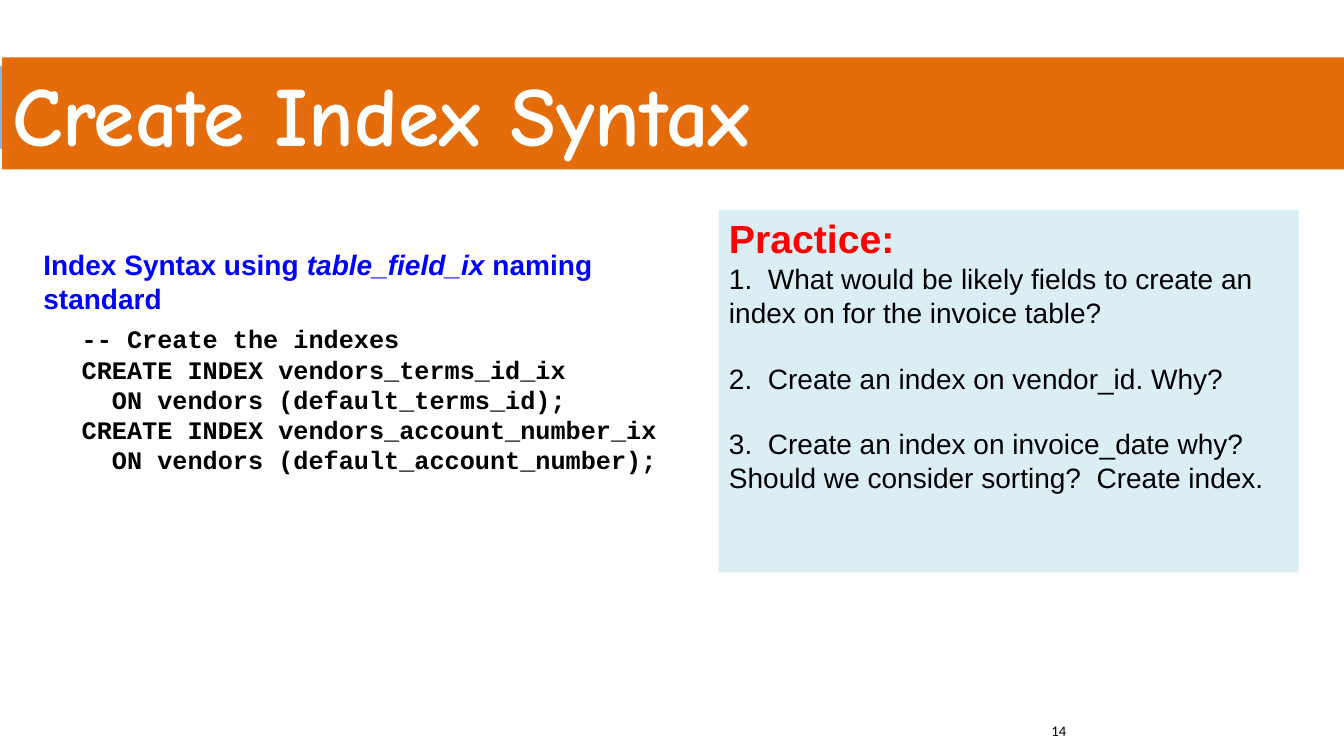
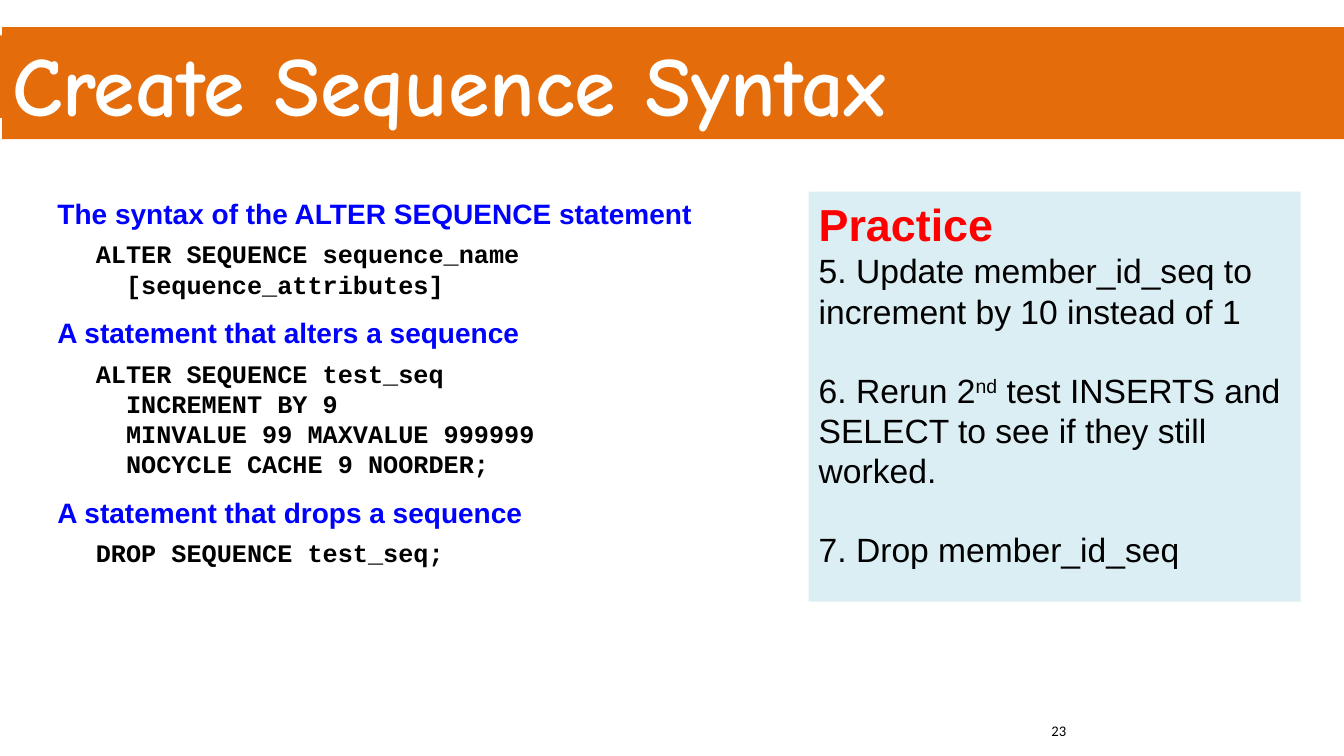
from dataclasses import dataclass
from enum import Enum
from typing import NamedTuple

from lxml.etree import SubElement
from pptx import Presentation
from pptx.dml.color import RGBColor
from pptx.enum.shapes import MSO_SHAPE
from pptx.enum.text import MSO_ANCHOR, MSO_AUTO_SIZE, PP_ALIGN
from pptx.oxml import parse_xml
from pptx.oxml.ns import nsdecls, qn
from pptx.util import Inches, Pt


@dataclass(frozen=True)
class Theme:
    orange: RGBColor = RGBColor(0xE4, 0x6C, 0x0A)
    pale_blue: RGBColor = RGBColor(0xDB, 0xEE, 0xF4)
    white: RGBColor = RGBColor(0xFF, 0xFF, 0xFF)
    black: RGBColor = RGBColor(0, 0, 0)
    red: RGBColor = RGBColor(0xFF, 0, 0)
    blue: RGBColor = RGBColor(0, 0, 0xFF)
    edge_stops: tuple[str, ...] = ("566A83", "7A97BA", "90B3DC")
    title_font: str = "Comic Neue"
    text_font: str = "Arial"
    code_font: str = "Courier New"
    number_font: str = "Calibri"
    title_size: float = 60
    heading_size: float = 20
    code_size: float = 18
    number_size: float = 10.5
    line_height: float = 1.15


THEME = Theme()
TWO_CONTENT_LAYOUT = 3


class Box(NamedTuple):
    left: float
    top: float
    width: float
    height: float


class Span(NamedTuple):
    text: str
    italic: bool = False
    raised: bool = False


class Style(NamedTuple):
    font: str
    size: float
    color: RGBColor
    bold: bool = False
    indent: float = 0
    before: float = 0
    after: float = 0


class Line(NamedTuple):
    style: Style
    spans: tuple[Span, ...]


class Kind(Enum):
    HEADING = Style(THEME.text_font, THEME.heading_size, THEME.blue, True, 0, 12, 6)
    CODE = Style(THEME.code_font, THEME.code_size, THEME.black, True, 0.38)
    CONTINUED = Style(THEME.code_font, THEME.code_size, THEME.black, True, 0.68)


@dataclass(frozen=True)
class Practice:
    box: Box
    heading: str
    heading_size: float
    task_size: float
    tasks: list[tuple[Span, ...]]


@dataclass(frozen=True)
class Lesson:
    title: str
    number: str
    band_top: float
    gradient_edge: bool
    syntax_box: Box
    syntax: list[Line]
    practice: Practice


def line(kind: Kind, *parts: str | Span) -> Line:
    return Line(kind.value, spans(*parts))


def spans(*parts: str | Span) -> tuple[Span, ...]:
    return tuple(Span(part) if isinstance(part, str) else part for part in parts)


LESSONS = [
    Lesson(
        title="Create Index Syntax",
        number="14",
        band_top=0.57,
        gradient_edge=True,
        syntax_box=Box(0.33, 2.41, 6.67, 2.68),
        syntax=[
            line(Kind.HEADING, "Index Syntax using ",
                 Span("table_field_ix ", italic=True), "naming standard"),
            line(Kind.CODE, "-- Create the indexes"),
            line(Kind.CODE, "CREATE INDEX vendors_terms_id_ix"),
            line(Kind.CONTINUED, "ON vendors (default_terms_id);"),
            line(Kind.CODE, "CREATE INDEX vendors_account_number_ix"),
            line(Kind.CONTINUED, "ON vendors (default_account_number);"),
        ],
        practice=Practice(Box(7.13, 2.08, 5.75, 3.6), "Practice:", 28, 20, [
            spans("1.  What would be likely fields to create an index on "
                  "for the invoice table?"),
            spans("2.  Create an index on vendor_id. Why?"),
            spans("3.  Create an index on invoice_date why?  "
                  "Should we consider sorting?  Create index."),
        ]),
    ),
    Lesson(
        title="Create Sequence Syntax",
        number="23",
        band_top=0.27,
        gradient_edge=False,
        syntax_box=Box(0.47, 1.9, 6.67, 3.89),
        syntax=[
            line(Kind.HEADING, "The syntax of the ALTER SEQUENCE statement"),
            line(Kind.CODE, "ALTER SEQUENCE sequence_name"),
            line(Kind.CONTINUED, "[sequence_attributes]"),
            line(Kind.HEADING, "A statement that alters a sequence"),
            line(Kind.CODE, "ALTER SEQUENCE test_seq"),
            line(Kind.CONTINUED, "INCREMENT BY 9"),
            line(Kind.CONTINUED, "MINVALUE 99 MAXVALUE 999999"),
            line(Kind.CONTINUED, "NOCYCLE CACHE 9 NOORDER;"),
            line(Kind.HEADING, "A statement that drops a sequence"),
            line(Kind.CODE, "DROP SEQUENCE test_seq;"),
        ],
        practice=Practice(Box(8.02, 1.9, 4.88, 4.07), "Practice", 32, 24, [
            spans("5. Update member_id_seq to increment by 10 instead of 1"),
            spans("6. Rerun 2", Span("nd", raised=True),
                  " test INSERTS and SELECT to see if they still worked."),
            spans("7. Drop member_id_seq"),
        ]),
    ),
]


def place(shape, box: Box) -> None:
    shape.left, shape.top, shape.width, shape.height = map(Inches, box)


def fill_solid(shape, color: RGBColor) -> None:
    shape.fill.solid()
    shape.fill.fore_color.rgb = color


def style_run(run, style: Style) -> None:
    font = run.font
    font.name, font.size, font.bold = style.font, Pt(style.size), style.bold
    font.color.rgb = style.color


def prepare_frame(shape) -> None:
    frame = shape.text_frame
    frame.word_wrap = True
    frame.auto_size = MSO_AUTO_SIZE.NONE
    frame.vertical_anchor = MSO_ANCHOR.TOP


def write_lines(shape, lines: list[Line]) -> None:
    prepare_frame(shape)
    frame = shape.text_frame
    for index, (style, parts) in enumerate(lines):
        paragraph = frame.add_paragraph() if index else frame.paragraphs[0]
        paragraph.alignment = PP_ALIGN.LEFT
        paragraph.space_before = Pt(style.before if index else 0)
        paragraph.space_after = Pt(style.after)
        # Plain, unbulleted text at a fixed indent
        properties = paragraph._p.get_or_add_pPr()
        properties.set("marL", str(Inches(style.indent)))
        properties.set("indent", "0")
        SubElement(properties, qn("a:buNone"))
        for span in parts:
            run = paragraph.add_run()
            run.text = span.text
            style_run(run, style)
            if span.italic:
                run.font.italic = True
            if span.raised:
                run.font._element.set("baseline", "30000")


def practice_lines(practice: Practice) -> list[Line]:
    heading = Style(THEME.text_font, practice.heading_size, THEME.red, True)
    first = Style(THEME.text_font, practice.task_size, THEME.black)
    later = first._replace(before=practice.task_size * THEME.line_height)
    return [Line(heading, spans(practice.heading))] + [
        Line(later if index else first, task)
        for index, task in enumerate(practice.tasks)
    ]


def add_band_edge(slide, lesson: Lesson) -> None:
    """Bar that shows at the left edge of the title band."""
    edge = slide.shapes.add_shape(MSO_SHAPE.RECTANGLE, 0, 0, 0, 0)
    place(edge, Box(0, lesson.band_top + 0.08, 13.33, 0.82))
    edge.shadow.inherit = False
    fill_solid(edge, THEME.orange)
    edge.line.fill.background()
    if lesson.gradient_edge:
        stops = "".join(
            f'<a:gs pos="{index * 50000}"><a:srgbClr val="{color}"/></a:gs>'
            for index, color in enumerate(THEME.edge_stops)
        )
        gradient = parse_xml(
            f'<a:gradFill {nsdecls("a")}><a:gsLst>{stops}</a:gsLst>'
            '<a:path path="circle"><a:fillToRect l="100000" t="100000"/></a:path>'
            "</a:gradFill>"
        )
        properties = edge._element.spPr
        properties.replace(properties.find(qn("a:solidFill")), gradient)
    slide.shapes._spTree.insert(2, edge._element)


def write_title(title, lesson: Lesson) -> None:
    place(title, Box(0.02, lesson.band_top, 13.36, 1.11))
    fill_solid(title, THEME.orange)
    prepare_frame(title)
    title.text_frame.text = lesson.title
    paragraph = title.text_frame.paragraphs[0]
    paragraph.alignment = PP_ALIGN.LEFT
    style_run(paragraph.runs[0],
              Style(THEME.title_font, THEME.title_size, THEME.white, True))


def add_number(slide, number: str) -> None:
    footer = slide.shapes.add_textbox(0, 0, 0, 0)
    place(footer, Box(10.33, 7.11, 3, 0.4))
    prepare_frame(footer)
    footer.text_frame.text = number
    style_run(footer.text_frame.paragraphs[0].runs[0],
              Style(THEME.number_font, THEME.number_size, THEME.black))


def add_lesson(deck, lesson: Lesson) -> None:
    slide = deck.slides.add_slide(deck.slide_layouts[TWO_CONTENT_LAYOUT])
    title, syntax, practice = slide.placeholders

    # Title band
    write_title(title, lesson)
    add_band_edge(slide, lesson)

    # Syntax on the left
    place(syntax, lesson.syntax_box)
    write_lines(syntax, lesson.syntax)

    # Practice panel on the right
    place(practice, lesson.practice.box)
    fill_solid(practice, THEME.pale_blue)
    write_lines(practice, practice_lines(lesson.practice))

    # Footer
    add_number(slide, lesson.number)


def main() -> None:
    deck = Presentation()
    deck.slide_width, deck.slide_height = Inches(13.33), Inches(7.5)
    for lesson in LESSONS:
        add_lesson(deck, lesson)
    deck.save("out.pptx")


if __name__ == "__main__":
    main()
